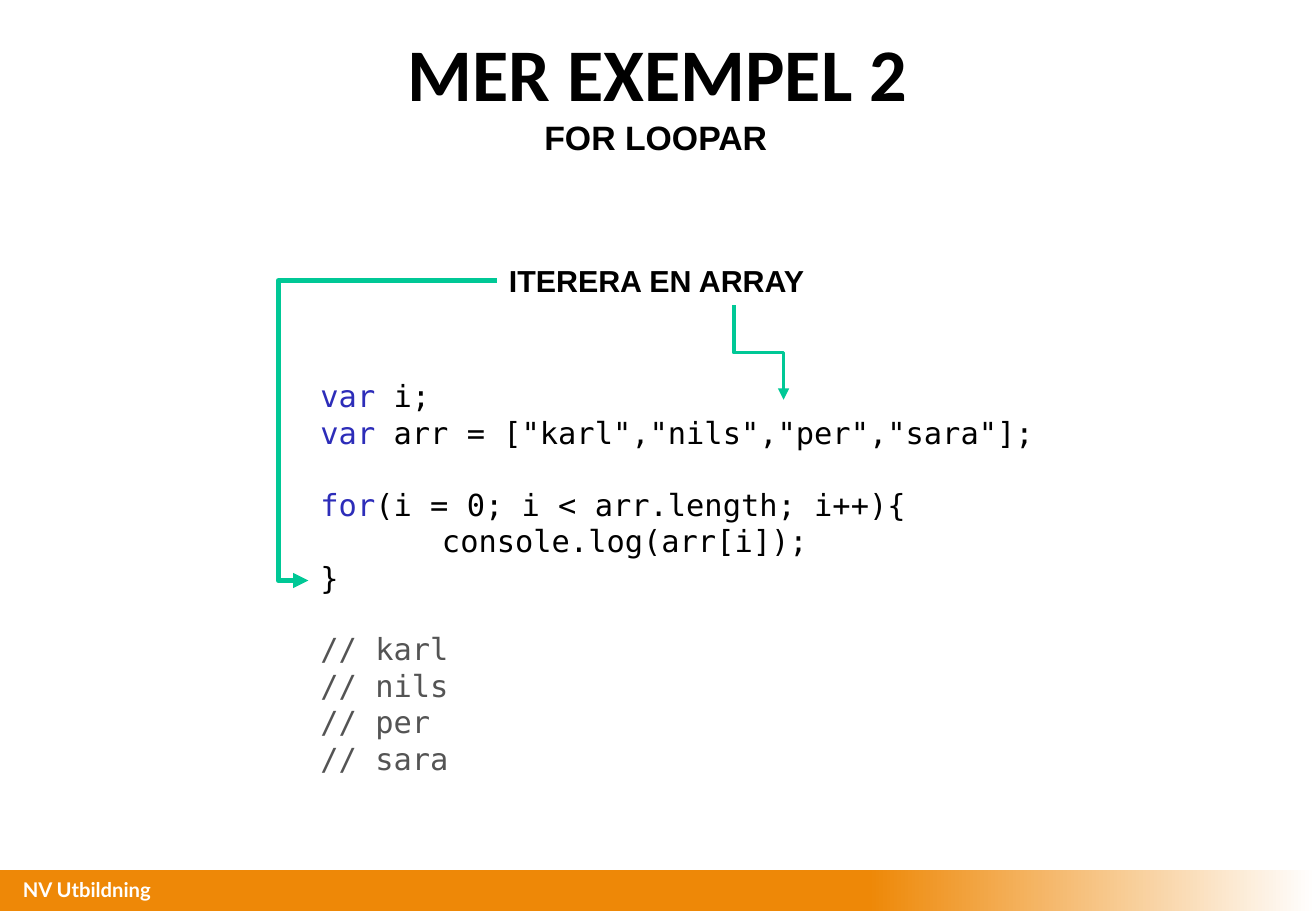
from dataclasses import dataclass

from pptx import Presentation
from pptx import util as u
from pptx.dml.color import RGBColor
from pptx.enum import shapes, text
from pptx.oxml import ns
from lxml import etree


@dataclass(frozen=True)
class Theme:
    black: str = "000000"
    white: str = "FFFFFF"
    orange: str = "EE8807"
    green: str = "00C896"
    keyword: str = "2D2DB9"
    comment: str = "545454"
    heading_font: str = "Calibri"
    label_font: str = "Arial"
    code_font: str = "DejaVu Sans Mono"
    footer_font: str = "Lato"
    heading: float = 44
    subheading: float = 20
    body: float = 18
    footer: float = 12
    code_line: float = 21


def cm(*lengths):
    return [u.Cm(length) for length in lengths]


class Painter:
    def __init__(self, page, theme):
        self.page, self.theme = page, theme

    def style(self, font, name, size, color=None, bold=False):
        font.name, font.size, font.bold = name, u.Pt(size), bold
        if color:
            font.color.rgb = RGBColor.from_string(color)

    def fading_band(self, frame, color, fade_start):
        band = self.page.shapes.add_shape(shapes.MSO_SHAPE.RECTANGLE, *cm(*frame))
        band.shadow.inherit = False
        band.line.fill.background()
        band.fill.gradient()
        band.fill.gradient_angle = 0
        for stop, position, shade in zip(band.fill.gradient_stops, (fade_start, 1),
                                         (color, self.theme.white)):
            stop.position = position
            stop.color.rgb = RGBColor.from_string(shade)

    def text_box(self, frame, wrap=True, margin=None):
        box = self.page.shapes.add_textbox(*cm(*frame))
        body = box.text_frame
        body.word_wrap = wrap
        body.auto_size = text.MSO_AUTO_SIZE.NONE if wrap else text.MSO_AUTO_SIZE.SHAPE_TO_FIT_TEXT
        if margin is not None:
            body.margin_left = body.margin_right = u.Cm(margin)
            body.margin_top = body.margin_bottom = u.Cm(margin)
        return body

    def label(self, frame, words, font, size, color=None, centred=False, **layout):
        body = self.text_box(frame, **layout)
        para = body.paragraphs[0]
        para.text = words
        self.style(para.font, font, size, color or self.theme.black, bold=True)
        if centred:
            para.alignment = text.PP_ALIGN.CENTER
            body.vertical_anchor = text.MSO_ANCHOR.MIDDLE

    def code(self, frame, blocks):
        body = self.text_box(frame)
        para = body.paragraphs[0]
        for block_number, block in enumerate(blocks):
            for line_number, line in enumerate(block):
                if block_number or line_number:
                    para = body.add_paragraph()
                if block_number and not line_number:
                    para.space_before = u.Pt(self.theme.code_line)
                self.style(para.font, self.theme.code_font, self.theme.body)
                if line[0][0].startswith("console"):
                    para._p.get_or_add_pPr().set("marL", str(u.Cm(2.54)))
                for words, color in line:
                    span = para.add_run()
                    span.text = words
                    span.font.color.rgb = RGBColor.from_string(color)

    def elbow_arrow(self, start, end, width, bend=0.5, vertical=False):
        (x1, y1), (x2, y2) = start, end
        if vertical:
            # The frame is laid on its side, then turned a quarter back
            middle_x, middle_y = (x1 + x2) / 2, (y1 + y2) / 2
            half_x, half_y = (y2 - y1) / 2, (x2 - x1) / 2
            x1, x2 = middle_x + half_x, middle_x - half_x
            y1, y2 = middle_y - half_y, middle_y + half_y
        arrow = self.page.shapes.add_connector(
            shapes.MSO_CONNECTOR.ELBOW, *cm(x1, y1, x2, y2))
        arrow.line.color.rgb = RGBColor.from_string(self.theme.green)
        arrow.line.width = u.Pt(width)
        properties = arrow._element.spPr
        if vertical:
            properties.find(ns.qn("a:xfrm")).set("rot", str(270 * 60000))
        guides = properties.find(ns.qn("a:prstGeom")).find(ns.qn("a:avLst"))
        etree.SubElement(guides, ns.qn("a:gd"), name="adj1",
                         fmla=f"val {round(bend * 100000)}")
        etree.SubElement(arrow.line._get_or_add_ln(), ns.qn("a:tailEnd"), type="triangle")
        etree.SubElement(properties, ns.qn("a:effectLst"))


theme = Theme()
deck = Presentation()
deck.slide_width, deck.slide_height = cm(27.51, 19.05)
page = deck.slides.add_slide(deck.slide_layouts[6])
painter = Painter(page, theme)

# Footer
painter.fading_band((0, 18.19, 27.51, 0.86), theme.orange, 0.66)
painter.label((0.48, 18.34, 8.84, 0.5), "NV Utbildning", theme.footer_font,
              theme.footer, theme.white, margin=0)

# Headings
painter.label((1.24, 0.41, 25.02, 2.18), "MER EXEMPEL 2", theme.heading_font,
              theme.heading, centred=True, margin=0.13)
painter.label((11.13, 2.31, 5.26, 1.12), "FOR LOOPAR", theme.label_font,
              theme.subheading, wrap=False)
painter.label((10.39, 5.36, 6.86, 1.02), "ITERERA EN ARRAY", theme.label_font,
              theme.body, wrap=False)

# Code, with an empty line's space between blocks
plain, keyword = theme.black, theme.keyword
names = ["karl", "nils", "per", "sara"]
array = ",".join(f'"{name}"' for name in names)
painter.code((6.45, 7.77, 17.78, 8.71), [
    [[("var", keyword), (" i;", plain)],
     [("var", keyword), (f" arr = [{array}];", plain)]],
    [[("for", keyword), ("(i = 0; i < arr.length; i++){", plain)],
     [("console.log(arr[i]);", plain)],
     [("}", plain)]],
    [[(f"// {name}", theme.comment)] for name in names],
])

# Arrows from the label to the array and the loop
painter.elbow_arrow((15.34, 6.38), (16.38, 8.36), 2.25, vertical=True)
painter.elbow_arrow((10.39, 5.87), (6.45, 12.14), 3, bend=1.16)

deck.save("out.pptx")
